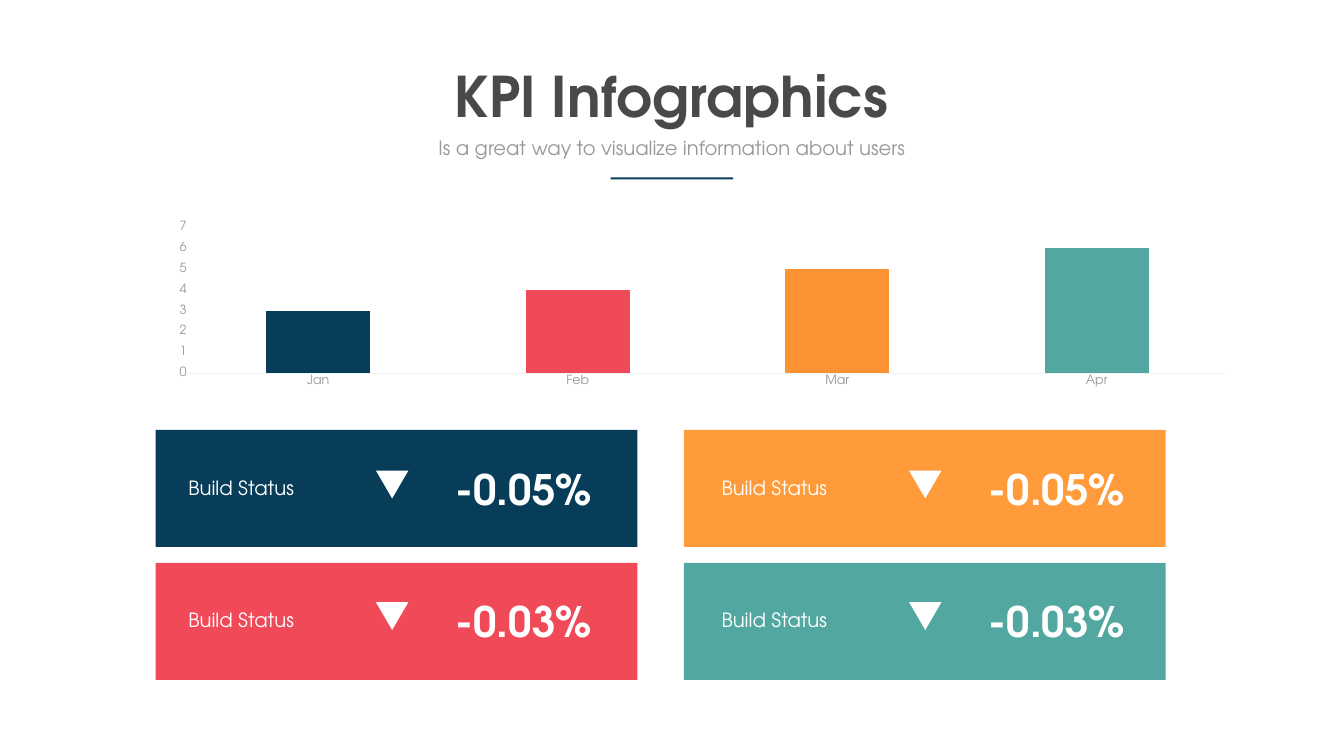
import pptx
import pptx.chart.data
import pptx.oxml
from dataclasses import dataclass
from pptx.dml.color import RGBColor
from pptx.enum.chart import XL_CHART_TYPE, XL_TICK_LABEL_POSITION, XL_TICK_MARK
from pptx.enum.shapes import MSO_SHAPE
from pptx.enum.text import MSO_ANCHOR, MSO_AUTO_SIZE, PP_ALIGN
from pptx.util import Cm, Pt


@dataclass(frozen=True)
class Theme:
    font: str = "TeX Gyre Adventor"
    dark: str = "494949"
    grey: str = "999999"
    pale: str = "F0F0F0"
    white: str = "FFFFFF"
    navy: str = "073D59"
    red: str = "F04958"
    amber: str = "FB9234"
    orange: str = "FF9B3B"
    teal: str = "52A8A0"
    title: int = 80
    value: int = 60
    body: int = 28
    axis: int = 18


THEME = Theme()
CARD_X, CARD_Y = 7.85, 21.67
CARD_STEP = 26.62, 6.7
ITEM_STEP = 26.87, 6.63


def color(code):
    return RGBColor.from_string(code)


def style(font, size, ink, bold=False):
    font.name, font.size, font.bold = THEME.font, Pt(size), bold
    font.color.rgb = color(ink)


def put_text(slide, text, box, size=THEME.body, ink=THEME.white, bold=False,
             align=PP_ALIGN.LEFT, wrap=True, holder=None):
    """Write text in a placeholder if one is given, else in a new text box."""
    area = [Cm(n) for n in box]
    shape = holder or slide.shapes.add_textbox(*area)
    shape.left, shape.top, shape.width, shape.height = area
    frame = shape.text_frame
    frame.text = text
    frame.word_wrap = wrap
    frame.auto_size = MSO_AUTO_SIZE.SHAPE_TO_FIT_TEXT
    frame.vertical_anchor = MSO_ANCHOR.TOP
    para = frame.paragraphs[0]
    para.alignment = align
    para.space_before = Pt(0)
    para.line_spacing = 1.0
    style(para.runs[0].font, size, ink, bold)


def add_block(slide, box, fill, kind=MSO_SHAPE.RECTANGLE, turn=0):
    shape = slide.shapes.add_shape(kind, *[Cm(n) for n in box])
    shape.shadow.inherit = False
    shape.fill.solid()
    shape.fill.fore_color.rgb = color(fill)
    shape.line.fill.background()
    shape.rotation = turn


def set_plot(chart, x, y, w, h):
    """Fix the inner plot area, in fractions of the chart."""
    area = chart._chartSpace.chart.plotArea
    for old in area.xpath("c:layout"):
        area.remove(old)
    parts = "".join(f'<c:{tag} val="{val}"/>' for tag, val in (
        ("layoutTarget", "inner"), ("xMode", "edge"), ("yMode", "edge"),
        ("x", x), ("y", y), ("w", w), ("h", h)))
    area.insert(0, pptx.oxml.parse_xml(
        '<c:layout xmlns:c="http://schemas.openxmlformats.org/drawingml/2006/chart">'
        f"<c:manualLayout>{parts}</c:manualLayout></c:layout>"))


def add_bars(slide, box, months, values, fills):
    data = pptx.chart.data.CategoryChartData()
    data.categories = months
    data.add_series("Series 1", values)
    chart = slide.shapes.add_chart(
        XL_CHART_TYPE.COLUMN_STACKED, *[Cm(n) for n in box], data).chart
    chart.has_legend = chart.has_title = False
    style(chart.font, THEME.axis, THEME.grey)
    for axis in (chart.category_axis, chart.value_axis):
        axis.has_major_gridlines = False
        axis.major_tick_mark = axis.minor_tick_mark = XL_TICK_MARK.NONE
        axis.tick_label_position = XL_TICK_LABEL_POSITION.NEXT_TO_AXIS
        style(axis.tick_labels.font, THEME.axis, THEME.grey)
    base = chart.category_axis.format.line
    base.color.rgb, base.width = color(THEME.pale), Pt(0.75)
    scale = chart.value_axis
    scale.format.line.fill.background()
    scale.minimum_scale, scale.maximum_scale, scale.major_unit = 0, 7, 1
    plot = chart.plots[0]
    plot.gap_width, plot.overlap, plot.vary_by_categories = 150, 100, False
    bars = plot.series[0]
    bars.format.fill.solid()
    bars.format.fill.fore_color.rgb = color(fills[0])
    for i, code in enumerate(fills):
        fill = bars.points[i].format.fill
        fill.solid()
        fill.fore_color.rgb = color(code)
    set_plot(chart, 0.03, 0.05, 0.95, 0.85)


def add_card(slide, col, row, fill, value):
    add_block(slide, (CARD_X + col * CARD_STEP[0], CARD_Y + row * CARD_STEP[1],
                      24.28, 5.89), fill)
    dx, dy = col * ITEM_STEP[0], row * ITEM_STEP[1]
    put_text(slide, "Build Status", (9.25 + dx, 23.88 + dy, 8.43, 1.45))
    add_block(slide, (18.95 + dx, 23.72 + dy, 1.63, 1.4), THEME.white,
              MSO_SHAPE.ISOSCELES_TRIANGLE, 180)
    put_text(slide, value, (22.68 + dx, 23.24 + dy, 7.44, 2.82),
             size=THEME.value, bold=True, align=PP_ALIGN.CENTER, wrap=False)


def main():
    deck = pptx.Presentation()
    deck.slide_width, deck.slide_height = Cm(67.74), Cm(38.1)
    slide = deck.slides.add_slide(deck.slide_layouts[0])
    title, lead = slide.placeholders
    put_text(slide, "KPI Infographics", (22.53, 2.97, 22.63, 3.68),
             size=THEME.title, ink=THEME.dark, bold=True,
             align=PP_ALIGN.CENTER, wrap=False, holder=title)
    put_text(slide, "Is a great way to visualize information about users",
             (21.72, 6.73, 24.28, 1.45), ink=THEME.grey,
             align=PP_ALIGN.CENTER, holder=lead)
    add_block(slide, (30.78, 8.94, 6.17, 0.1), THEME.navy)
    add_bars(slide, (7.85, 11.02, 55.07, 8.66), ("Jan", "Feb", "Mar", "Apr"),
             (3, 4, 5, 6), (THEME.navy, THEME.red, THEME.amber, THEME.teal))
    cards = ((THEME.navy, THEME.orange), (THEME.red, THEME.teal))
    for row, value in enumerate(("-0.05%", "-0.03%")):
        for col, fill in enumerate(cards[row]):
            add_card(slide, col, row, fill, value)
    deck.save("out.pptx")


if __name__ == "__main__":
    main()
